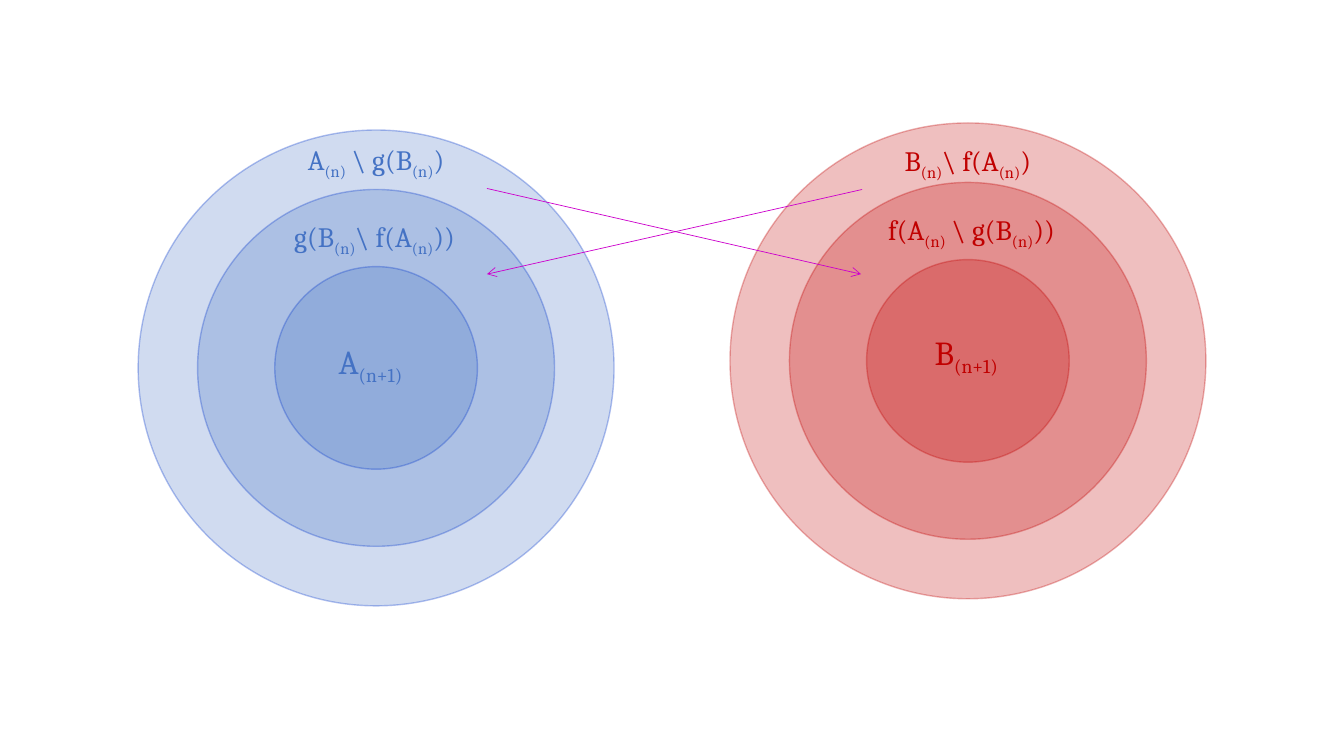
"""Draw two families of nested sets, A and B, linked by the maps f and g."""
from lxml import etree
from pptx import Presentation
from pptx.dml.color import RGBColor
from pptx.enum import shapes, text
from pptx.oxml import ns
from pptx.util import Inches, Pt

BLUE = RGBColor(0x44, 0x72, 0xC4)
OUTLINE_BLUE = RGBColor(0x00, 0x33, 0xCC)
RED = RGBColor(0xC0, 0x00, 0x00)
MAGENTA = RGBColor(0xCC, 0x00, 0xCC)

FONT = "Cambria"
DIAMETERS = (4.72, 3.54, 2.01)
FILL_OPACITY, LINE_OPACITY = 25, 30

# Label pieces alternate between normal text and subscript.
SETS = [
    {"center": (3.73, 3.65), "color": BLUE, "outline": OUTLINE_BLUE, "labels": [
        (("A", "(n)", " \\ g(B", "(n)", ")"), 20, (2.78, 1.36, 1.9, 0.44)),
        (("g(B", "(n)", "\\ f(A", "(n)", "))"), 20, (2.66, 2.13, 2.11, 0.44)),
        (("A", "(n+1) "), 24, (3.15, 3.33, 1.09, 0.5)),
    ]},
    {"center": (9.6, 3.58), "color": RED, "outline": RED, "labels": [
        (("B", "(n)", "\\ f(A", "(n)", ")"), 20, (8.22, 1.37, 2.76, 0.44)),
        (("f(A", "(n)", " \\ g(B", "(n)", "))"), 20, (8.58, 2.06, 2.11, 0.44)),
        (("B", "(n+1) "), 24, (9.06, 3.24, 1.09, 0.5)),
    ]},
]
MAPS = [((8.55, 1.88), (4.83, 2.72)), ((4.83, 1.87), (8.54, 2.72))]


def set_opacity(color_format, percent):
    """Make a solid colour partly transparent."""
    solid = color_format._xFill
    etree.SubElement(solid[0], ns.qn("a:alpha"), val=str(percent * 1000))


def add_ring(page, center, diameter, color, outline):
    """Add one translucent circle around a centre."""
    left, top = (Inches(middle - diameter / 2) for middle in center)
    ring = page.shapes.add_shape(shapes.MSO_SHAPE.OVAL, left, top,
                                 Inches(diameter), Inches(diameter))
    ring.shadow.inherit = False
    ring.line.width = Pt(1)
    for fill, tint, opacity in ((ring.fill, color, FILL_OPACITY),
                                (ring.line.fill, outline, LINE_OPACITY)):
        fill.solid()
        fill.fore_color.rgb = tint
        set_opacity(fill.fore_color, opacity)


def add_label(page, pieces, size, place, color):
    """Add a centred formula with subscripts."""
    frame = page.shapes.add_textbox(*map(Inches, place)).text_frame
    frame.word_wrap = False
    frame.auto_size = text.MSO_AUTO_SIZE.SHAPE_TO_FIT_TEXT
    para = frame.paragraphs[0]
    para.alignment = text.PP_ALIGN.CENTER
    for index, piece in enumerate(pieces):
        span = para.add_run()
        span.text = piece
        span.font.name = FONT
        span.font.size = Pt(size)
        span.font.color.rgb = color
        if index % 2:
            span.font._element.set("baseline", "-25000")


def add_map(page, start, end):
    """Add a thin arrow from one set to the other."""
    arrow = page.shapes.add_connector(shapes.MSO_CONNECTOR.STRAIGHT,
                                      *map(Inches, start + end))
    arrow.line.color.rgb = MAGENTA
    arrow.line.width = Pt(0.5)
    etree.SubElement(arrow.line._get_or_add_ln(), ns.qn("a:tailEnd"), type="arrow")
    etree.SubElement(arrow._element.spPr, ns.qn("a:effectLst"))


deck = Presentation()
deck.slide_width, deck.slide_height = Inches(13.33), Inches(7.5)
page = deck.slides.add_slide(deck.slide_layouts[6])

for group in SETS:
    for diameter in DIAMETERS:
        add_ring(page, group["center"], diameter, group["color"], group["outline"])
for group in SETS:
    for pieces, size, place in group["labels"]:
        add_label(page, pieces, size, place, group["color"])
for start, end in MAPS:
    add_map(page, start, end)

deck.save("out.pptx")
